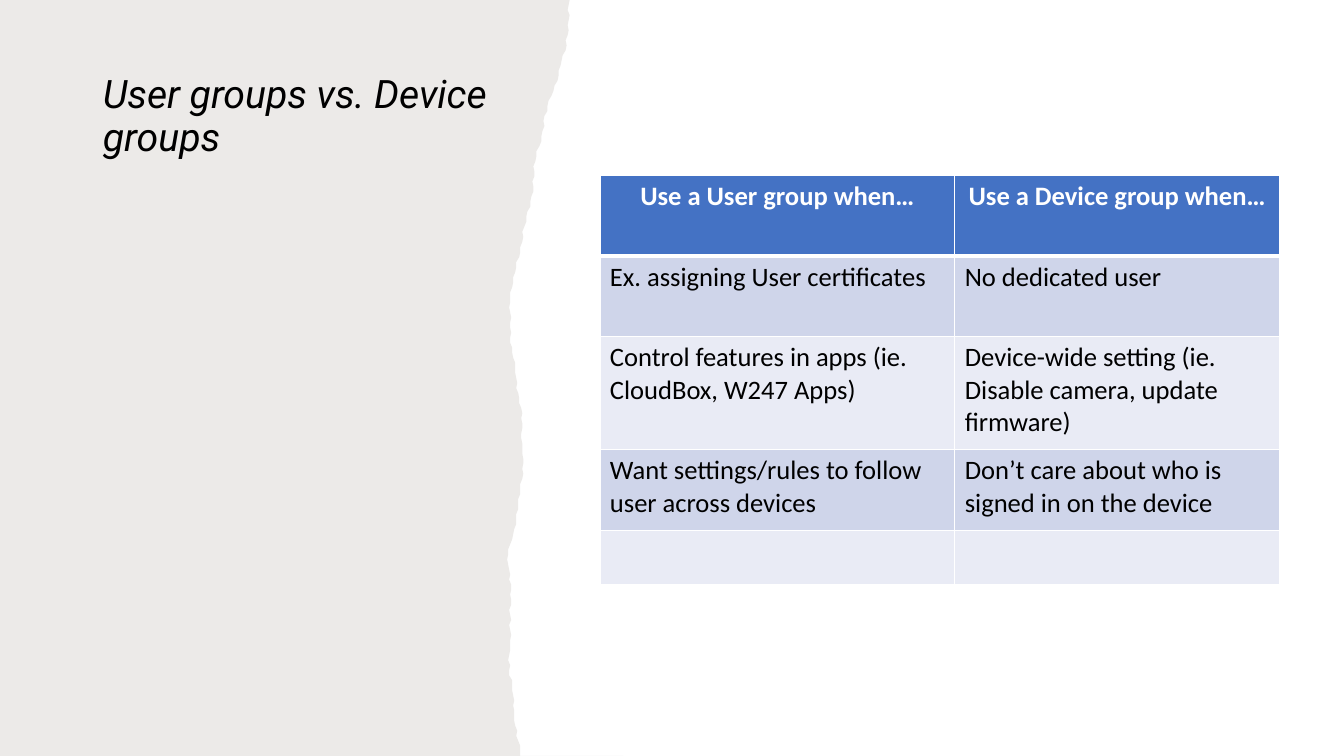
from itertools import pairwise
from math import sin
from lxml.etree import SubElement as Sub
from pptx import Presentation
from pptx.dml.color import RGBColor as RGB
from pptx.enum.text import MSO_ANCHOR as Anchor, MSO_AUTO_SIZE as Auto, PP_ALIGN as Align
from pptx.oxml import parse_xml
from pptx.oxml.ns import nsdecls, qn
from pptx.util import Inches, Pt

WHITE = RGB(0xFF, 0xFF, 0xFF)
BLACK = RGB(0x00, 0x00, 0x00)
TAUPE = RGB(0x82, 0x76, 0x6A)
BLUE = RGB(0x44, 0x72, 0xC4)
BAND = RGB(0xCF, 0xD5, 0xEA)
PALE = RGB(0xE9, 0xEB, 0xF5)

deck = Presentation()
deck.slide_width, deck.slide_height = Inches(13.33), Inches(7.5)
TALL = 750
UNIT = deck.slide_height / TALL


def grid(*spans):
    return [round(span * UNIT) for span in spans]


def style(item, look):
    for name, value in look.items():
        if name == "color":
            item.color.rgb = value
        else:
            setattr(item, name, value)


slide = deck.slides.add_slide(deck.slide_layouts[5])
title = slide.shapes.title

BENDS = [565, 561, 545, 533, 526, 515, 505, 508, 516, 519, 515, 504, 507, 505, 509, 516]
STEP = TALL // (len(BENDS) - 1)
TEAR = 5
ROUGH = 1.5
FOOT = 618

torn = []
for band, (start, end) in enumerate(pairwise(BENDS)):
    for drop in range(0, STEP, TEAR):
        down = band * STEP + drop
        across = start + (end - start) * drop / STEP
        torn.append((across + ROUGH * sin(down) * sin(down / 7), down))
torn += [(BENDS[-1], TALL), (FOOT, TALL), (0, TALL)]

form = slide.shapes.build_freeform(0, 0, scale=UNIT)
form.add_line_segments(torn, close=True)
paper = form.convert_to_shape()
paper.shadow.inherit = False
paper.fill.solid()
paper.fill.fore_color.rgb = TAUPE
tint = paper.fill._xPr.find(qn("a:solidFill"))[0]
Sub(tint, qn("a:alpha"), val="15000")
paper.line.fill.background()
title._element.addprevious(paper._element)

title.left, title.top, title.width, title.height = grid(92, 64, 409, 105)
frame = title.text_frame
frame.text = "User groups vs. Device groups"
style(frame, dict(word_wrap=True, auto_size=Auto.NONE, vertical_anchor=Anchor.MIDDLE))
para = frame.paragraphs[0]
style(para, dict(alignment=Align.LEFT, line_spacing=0.9))
style(para.runs[0].font, dict(name="Roboto", size=Pt(28), italic=True, color=BLACK))

ROWS = [
    ("Use a User group when…", "Use a Device group when…"),
    ("Ex. assigning User certificates", "No dedicated user"),
    ("Control features in apps (ie. CloudBox, W247 Apps)",
     "Device-wide setting (ie. Disable camera, update firmware)"),
    ("Want settings/rules to follow user across devices",
     "Don’t care about who is signed in on the device"),
    ("", ""),
]
WIDE = grid(352, 322)
HIGH = grid(80, 80, 112, 80, 54)
THIN, THICK = Pt(1), Pt(3)
BASE = dict(name="Calibri", size=Pt(19))
HEAD = dict(BASE, bold=True, color=WHITE)
BODY = dict(BASE, bold=False, color=BLACK)

table = slide.shapes.add_table(
    len(ROWS), len(WIDE), *grid(595, 174), sum(WIDE), sum(HIGH)).table
for col, width in zip(table.columns, WIDE):
    col.width = width

for r, (texts, high) in enumerate(zip(ROWS, HIGH)):
    table.rows[r].height = high
    if r == 0:
        font, fill, align = HEAD, BLUE, Align.CENTER
    else:
        font, fill, align = BODY, BAND if r % 2 else PALE, Align.LEFT
    sides = dict(L=THIN, R=THIN, T=THICK if r == 1 else THIN, B=THICK if r == 0 else THIN)
    for cell, text in zip(table.rows[r].cells, texts):
        cell.fill.solid()
        cell.fill.fore_color.rgb = fill
        cell.text = text
        para = cell.text_frame.paragraphs[0]
        para.alignment = align
        for run in para.runs:
            style(run.font, font)
        for place, (side, size) in enumerate(sides.items()):
            line = parse_xml(
                f'<a:ln{side} {nsdecls("a")} w="{size}"><a:solidFill>'
                f'<a:srgbClr val="{WHITE}"/></a:solidFill></a:ln{side}>')
            cell._tc.get_or_add_tcPr().insert(place, line)

deck.save("out.pptx")
